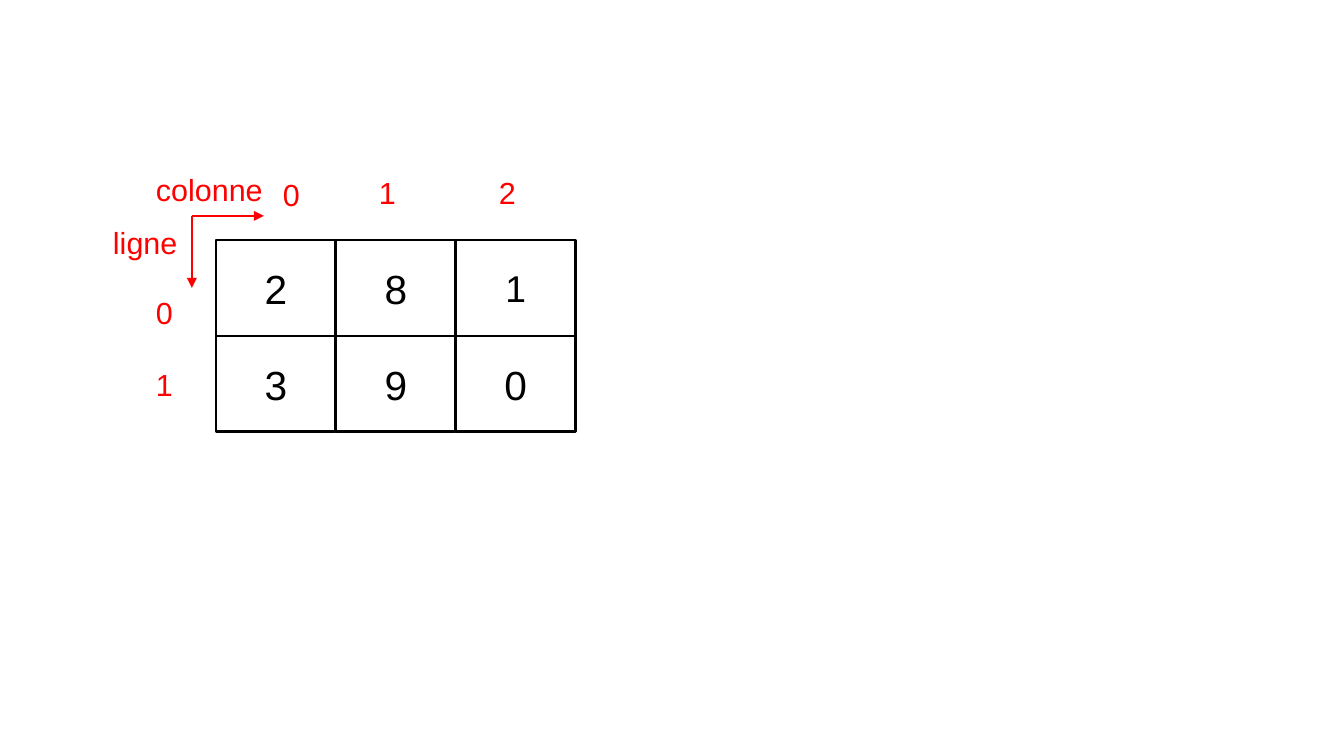
"""Build a slide that shows the row and column indices of a matrix."""
import dataclasses

import lxml.etree
import pptx
import pptx.dml.color
import pptx.enum.shapes
import pptx.enum.text
import pptx.oxml.ns
import pptx.util

EMU_PER_PX = 914400 / 122


@dataclasses.dataclass(frozen=True)
class Theme:
    font: str = "Arial"
    ink: str = "000000"
    paper: str = "FFFFFF"
    accent: str = "FF0000"
    value_size: int = 24
    small_value_size: int = 22
    label_size: int = 18
    line_width: float = 1.5


def px(length):
    return pptx.util.Emu(round(length * EMU_PER_PX))


def rgb(color):
    return pptx.dml.color.RGBColor.from_string(color)


def write_text(frame, text, *, font, size, color, align, anchor, insets):
    frame.word_wrap = False
    frame.vertical_anchor = anchor
    frame.margin_left = frame.margin_right = px(insets[0])
    frame.margin_top = frame.margin_bottom = px(insets[1])
    paragraph = frame.paragraphs[0]
    paragraph.alignment = align
    run = paragraph.add_run()
    run.text = text
    run.font.name = font
    run.font.size = pptx.util.Pt(size)
    run.font.color.rgb = rgb(color)


class MatrixSlide:
    def __init__(self, presentation, theme):
        self.theme = theme
        self.slide = presentation.slides.add_slide(presentation.slide_layouts[6])

    def style_line(self, line, color):
        line.color.rgb = rgb(color)
        line.width = pptx.util.Pt(self.theme.line_width)

    def cell(self, text, left, top, width, height, size):
        shape = self.slide.shapes.add_shape(
            pptx.enum.shapes.MSO_SHAPE.RECTANGLE,
            px(left), px(top), px(width), px(height))
        shape.shadow.inherit = False
        shape.fill.solid()
        shape.fill.fore_color.rgb = rgb(self.theme.paper)
        self.style_line(shape.line, self.theme.ink)
        write_text(shape.text_frame, text, font=self.theme.font, size=size,
                   color=self.theme.ink, align=pptx.enum.text.PP_ALIGN.CENTER,
                   anchor=pptx.enum.text.MSO_ANCHOR.MIDDLE, insets=(13, 7))

    def arrow(self, start, end):
        connector = self.slide.shapes.add_connector(
            pptx.enum.shapes.MSO_CONNECTOR.STRAIGHT,
            *(px(length) for length in (*start, *end)))
        self.style_line(connector.line, self.theme.accent)
        properties = connector._element.spPr
        outline = properties.find(pptx.oxml.ns.qn("a:ln"))
        lxml.etree.SubElement(
            outline, pptx.oxml.ns.qn("a:tailEnd"), type="triangle")
        lxml.etree.SubElement(properties, pptx.oxml.ns.qn("a:effectLst"))

    def label(self, text, left, top, width=41):
        shape = self.slide.shapes.add_textbox(
            px(left), px(top), px(width), px(46))
        shape.text_frame.auto_size = pptx.enum.text.MSO_AUTO_SIZE.SHAPE_TO_FIT_TEXT
        write_text(shape.text_frame, text, font=self.theme.font,
                   size=self.theme.label_size, color=self.theme.accent,
                   align=pptx.enum.text.PP_ALIGN.LEFT,
                   anchor=pptx.enum.text.MSO_ANCHOR.TOP, insets=(12, 6))


def main():
    presentation = pptx.Presentation()
    presentation.slide_width = pptx.util.Inches(11.02)
    presentation.slide_height = pptx.util.Inches(6.2)
    theme = Theme()
    matrix = MatrixSlide(presentation, theme)

    cell_width, cell_height = 120, 96
    for row, values in enumerate(("281", "390")):
        for column, value in enumerate(values):
            size = theme.small_value_size if value == "1" else theme.value_size
            matrix.cell(value, 216 + column * cell_width,
                        240 + row * cell_height, cell_width, cell_height, size)

    corner = (192, 216)
    for end in ((264, 216), (192, 288)):
        matrix.arrow(corner, end)

    matrix.label("colonne", 144, 165, 131)
    matrix.label("ligne", 101, 218, 89)
    for row in range(2):
        matrix.label(str(row), 144, 288 + row * 72)
    for column, (left, top) in enumerate(((271, 170), (367, 168), (487, 168))):
        matrix.label(str(column), left, top)

    presentation.save("out.pptx")


if __name__ == "__main__":
    main()
